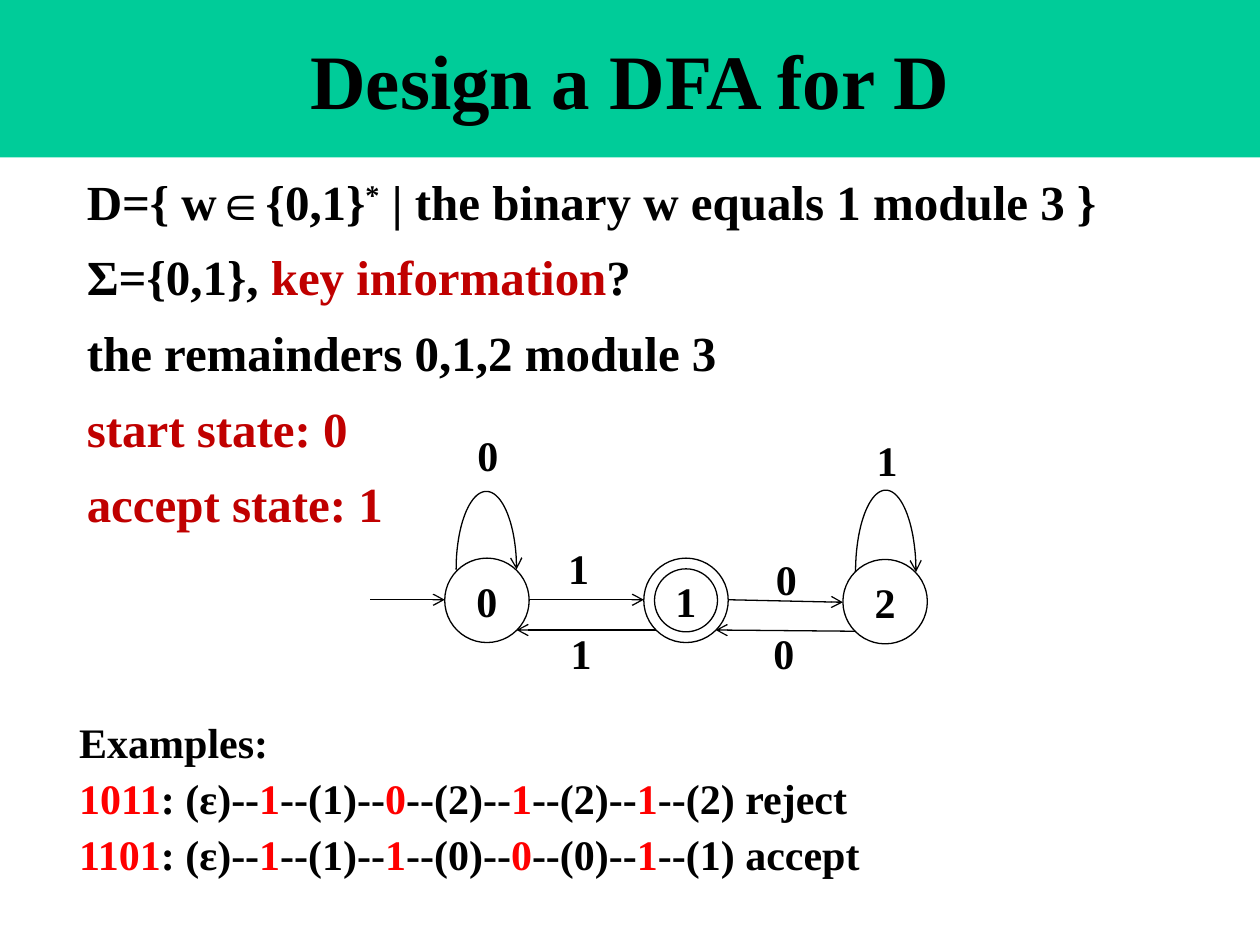
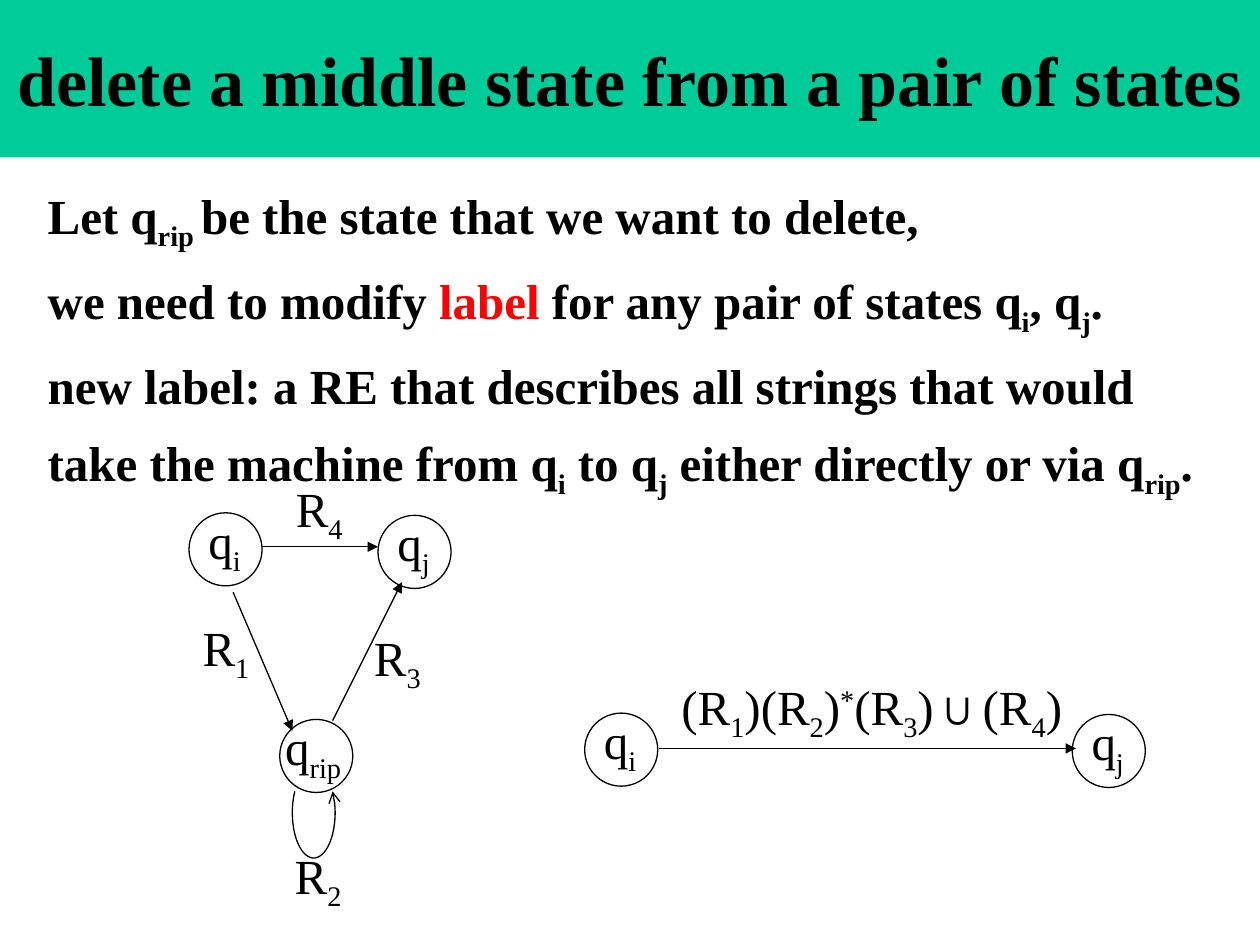
from dataclasses import dataclass
from math import cos, radians, sin

from lxml import etree
from pptx import Presentation
from pptx.dml.color import RGBColor
from pptx.enum import shapes, text
from pptx.oxml import ns
from pptx.util import Inches, Pt


@dataclass(frozen=True)
class Theme:
    font: str = "Times New Roman"
    ink: str = "000000"
    band: str = "00CC99"
    dark_red: str = "C00000"
    red: str = "FF0000"
    body: int = 28
    small: int = 24
    line: float = 0.75


THEME = Theme()
PAGE_WIDTH, PAGE_HEIGHT, BAND_HEIGHT = 10, 7.5, 1.25

# A line of text is a list of spans: a plain string, or (string, style).
STYLES = {
    "": (THEME.ink, 0),
    "dark": (THEME.dark_red, 0),
    "red": (THEME.red, 0),
    "sub": (THEME.ink, -25000),
    "sup": (THEME.ink, 30000),
}
Q_I, Q_J, Q_RIP = [["q", (name, "sub")] for name in ("i", "j", "rip")]

# Slide 1: the automaton for D
DFA_TITLE = ("Design a DFA for D", 44)
DFA_BODY = [
    ["D={ w∈{0,1}", ("*", "sup"), " | the binary w equals 1 module 3 }"],
    ["Σ={0,1}, ", ("key information", "dark"), "?"],
    ["the remainders 0,1,2 module 3"],
    [("start state: 0", "dark")],
    [("accept state: 1", "dark")],
]
# Each example: word, states visited, verdict
EXAMPLES = [("1011", "1222", "reject"), ("1101", "1001", "accept")]
DFA_STATES = [("0", 3.53, 4.43), ("1", 5.11, 4.43), ("2", 6.69, 4.44)]
DFA_STATE_SIZE, ACCEPT_RING_SIZE = 0.67, 0.5
DFA_ARROWS = [
    ((2.94, 4.76), (3.53, 4.76)),
    ((4.2, 4.76), (5.11, 4.76)),
    ((5.78, 4.76), (6.69, 4.78)),
    ((5.21, 5), (4.1, 5)),
    ((6.79, 5.01), (5.68, 5)),
]
DFA_LABELS = [
    ("0", 3.69, 3.36), ("1", 4.41, 4.26), ("0", 6.06, 4.34),
    ("1", 6.86, 3.4), ("1", 4.43, 4.93), ("0", 6.04, 4.93),
]
# Loops: centre, radii, start and end angle (clockwise from the right)
DFA_LOOPS = [
    ((3.86, 4.52), (0.24, 0.62), (180, 360)),
    ((7.03, 4.54), (0.24, 0.65), (180, 360)),
]

# Slide 2: removing a state
RIP_TITLE = ("delete a middle state from a pair of states", 40)
RIP_BODY = [
    ["Let q", ("rip ", "sub"), "be the state that we want to delete,"],
    ["we need to modify ", ("label", "red"), " for any pair of states ",
     *Q_I, ", ", *Q_J, "."],
    ["new label: a RE that describes all strings that would"],
    ["take the machine from ", *Q_I, " to ", *Q_J,
     " either directly or via ", *Q_RIP, "."],
]
RIP_STATE_SIZE = 0.58
# Name, circle left and top, width of the name
RIP_STATES = [
    (Q_I, 1.5, 4.07, 0.47), (Q_J, 3, 4.09, 0.47), (Q_RIP, 2.22, 5.71, 0.69),
    (Q_I, 4.64, 5.66, 0.47), (Q_J, 8.51, 5.67, 0.47),
]
RIP_ARROWS = [
    ((2.08, 4.34), (3, 4.34)),
    ((1.85, 4.7), (2.32, 5.8)),
    ((2.64, 5.72), (3.19, 4.62)),
    ((5.23, 5.94), (8.54, 5.94)),
]
RIP_LABELS = [("1", 1.51, 4.85), ("2", 2.24, 6.66),
              ("3", 2.87, 4.93), ("4", 2.25, 3.75)]
RIP_LOOP = ((2.49, 6.45), (0.17, 0.36), (208, -28))
NEW_LABEL = ["(R", ("1", "sub"), ")(R", ("2", "sub"), ")", ("*", "sup"),
             "(R", ("3", "sub"), ")∪(R", ("4", "sub"), ")"]


def colour(code):
    return RGBColor.from_string(code)


def example_line(word, states, verdict):
    spans = [(word, "red"), ": (ε)"]
    for symbol, state in zip(word, states):
        spans += ["--", (symbol, "red"), f"--({state})"]
    return spans + [f" {verdict}"]


def add_spans(para, spans, size, bold):
    for item in spans:
        words, style = (item, "") if isinstance(item, str) else item
        ink, baseline = STYLES[style]
        span = para.add_run()
        span.text = words
        font = span.font
        font.name, font.size, font.bold = THEME.font, Pt(size), bold
        font.color.rgb = colour(ink)
        if baseline:
            font._element.set("baseline", str(baseline))


def add_text(page, lines, area, size, bold=True, wrap=False,
             before=0, after=0, first=None, leading=None):
    """Add a text box; first is the space above the first line, if it differs."""
    box = page.shapes.add_textbox(*map(Inches, area))
    frame = box.text_frame
    frame.word_wrap = wrap
    frame.auto_size = text.MSO_AUTO_SIZE.SHAPE_TO_FIT_TEXT
    for index, spans in enumerate(lines):
        para = frame.add_paragraph() if index else frame.paragraphs[0]
        is_special = index == 0 and first is not None
        para.space_before = Pt(first if is_special else before)
        para.space_after = Pt(after)
        if leading:
            para.line_spacing = leading
        add_spans(para, spans, size, bold)


def style_line(line, arrowhead=None):
    line.color.rgb = colour(THEME.ink)
    line.width = Pt(THEME.line)
    if arrowhead:
        outline = line._get_or_add_ln()
        etree.SubElement(outline, ns.qn("a:tailEnd"), type=arrowhead)


def add_circle(page, left, top, size, name=None):
    circle = page.shapes.add_shape(
        shapes.MSO_SHAPE.OVAL, *map(Inches, (left, top, size, size)))
    circle.shadow.inherit = False
    circle.fill.background()
    style_line(circle.line)
    if name:
        frame = circle.text_frame
        frame.margin_left = frame.margin_right = 0
        frame.margin_top = frame.margin_bottom = 0
        frame.word_wrap = False
        frame.vertical_anchor = text.MSO_ANCHOR.MIDDLE
        para = frame.paragraphs[0]
        para.alignment = text.PP_ALIGN.CENTER
        add_spans(para, [name], THEME.small, True)


def add_arrow(page, start, end, arrowhead):
    arrow = page.shapes.add_connector(
        shapes.MSO_CONNECTOR.STRAIGHT, *map(Inches, start + end))
    style_line(arrow.line, arrowhead)
    etree.SubElement(arrow._element.spPr, ns.qn("a:effectLst"))


def add_loop(page, centre, radii, angles, steps=48):
    """Draw an elliptical arc that ends in an open arrowhead."""
    start, end = angles
    points = []
    for step in range(steps + 1):
        angle = radians(start + (end - start) * step / steps)
        points.append((Inches(centre[0] + radii[0] * cos(angle)),
                       Inches(centre[1] + radii[1] * sin(angle))))
    builder = page.shapes.build_freeform(*points[0])
    builder.add_line_segments(points[1:], close=False)
    loop = builder.convert_to_shape()
    loop.shadow.inherit = False
    loop.fill.background()
    style_line(loop.line, "arrow")


def add_page(deck, title, size):
    page = deck.slides.add_slide(deck.slide_layouts[5])
    band = page.shapes.title
    band.left = band.top = 0
    band.width, band.height = Inches(PAGE_WIDTH), Inches(BAND_HEIGHT)
    band.fill.solid()
    band.fill.fore_color.rgb = colour(THEME.band)
    frame = band.text_frame
    frame.word_wrap = True
    frame.auto_size = text.MSO_AUTO_SIZE.NONE
    frame.vertical_anchor = text.MSO_ANCHOR.MIDDLE
    para = frame.paragraphs[0]
    para.alignment = text.PP_ALIGN.CENTER
    add_spans(para, [title], size, True)
    return page


def build_dfa_page(deck):
    page = add_page(deck, *DFA_TITLE)
    add_text(page, DFA_BODY, (0.59, 1.31, 8.21, 3.02), THEME.body,
             before=9.6, first=0)
    for name, left, top in DFA_STATES:
        add_circle(page, left, top, DFA_STATE_SIZE, name)
    _, left, top = DFA_STATES[1]
    inset = (DFA_STATE_SIZE - ACCEPT_RING_SIZE) / 2
    add_circle(page, left + inset, top + inset, ACCEPT_RING_SIZE)
    for start, end in DFA_ARROWS:
        add_arrow(page, start, end, "arrow")
    for loop in DFA_LOOPS:
        add_loop(page, *loop)
    for symbol, left, top in DFA_LABELS:
        add_text(page, [[symbol]], (left, top, 0.45, 0.5), THEME.small)
    lines = [["Examples:"]] + [example_line(*example) for example in EXAMPLES]
    add_text(page, lines, (0.53, 5.64, 6.68, 1.39), THEME.small,
             wrap=True, before=3)


def build_rip_page(deck):
    page = add_page(deck, *RIP_TITLE)
    add_text(page, RIP_BODY, (0.28, 1.37, 9.61, 2.46), THEME.body,
             before=3.4, after=3.4, leading=1.1)
    for name, left, top, width in RIP_STATES:
        add_circle(page, left, top, RIP_STATE_SIZE)
        name_left = left + (RIP_STATE_SIZE - width) / 2
        add_text(page, [name], (name_left, top - 0.07, width, 0.57),
                 THEME.body, bold=False)
    for start, end in RIP_ARROWS:
        add_arrow(page, start, end, "triangle")
    add_loop(page, *RIP_LOOP)
    for number, left, top in RIP_LABELS:
        add_text(page, [["R", (number, "sub")]], (left, top, 0.66, 0.57),
                 THEME.body, bold=False)
    add_text(page, [NEW_LABEL], (5.31, 5.32, 3.3, 0.57), THEME.body, bold=False)


def main():
    deck = Presentation()
    deck.slide_width, deck.slide_height = Inches(PAGE_WIDTH), Inches(PAGE_HEIGHT)
    build_dfa_page(deck)
    build_rip_page(deck)
    deck.save("out.pptx")


if __name__ == "__main__":
    main()
